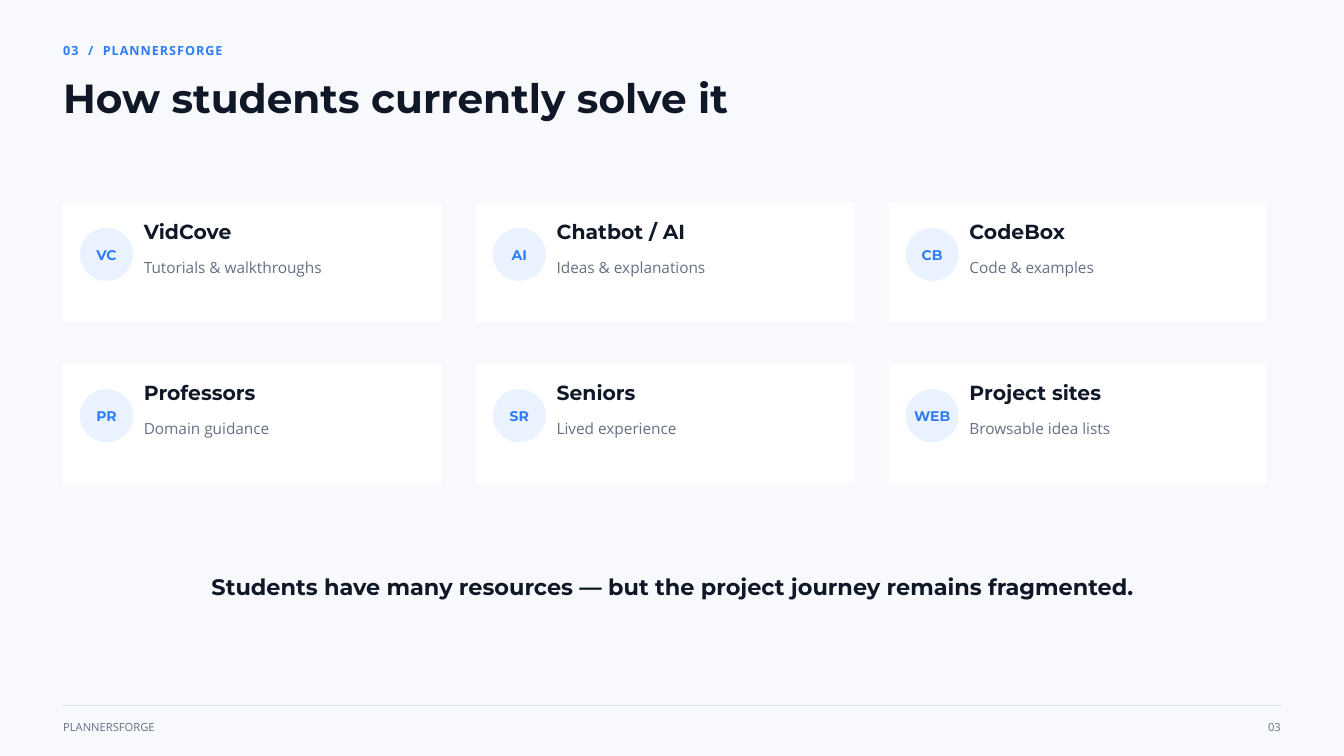
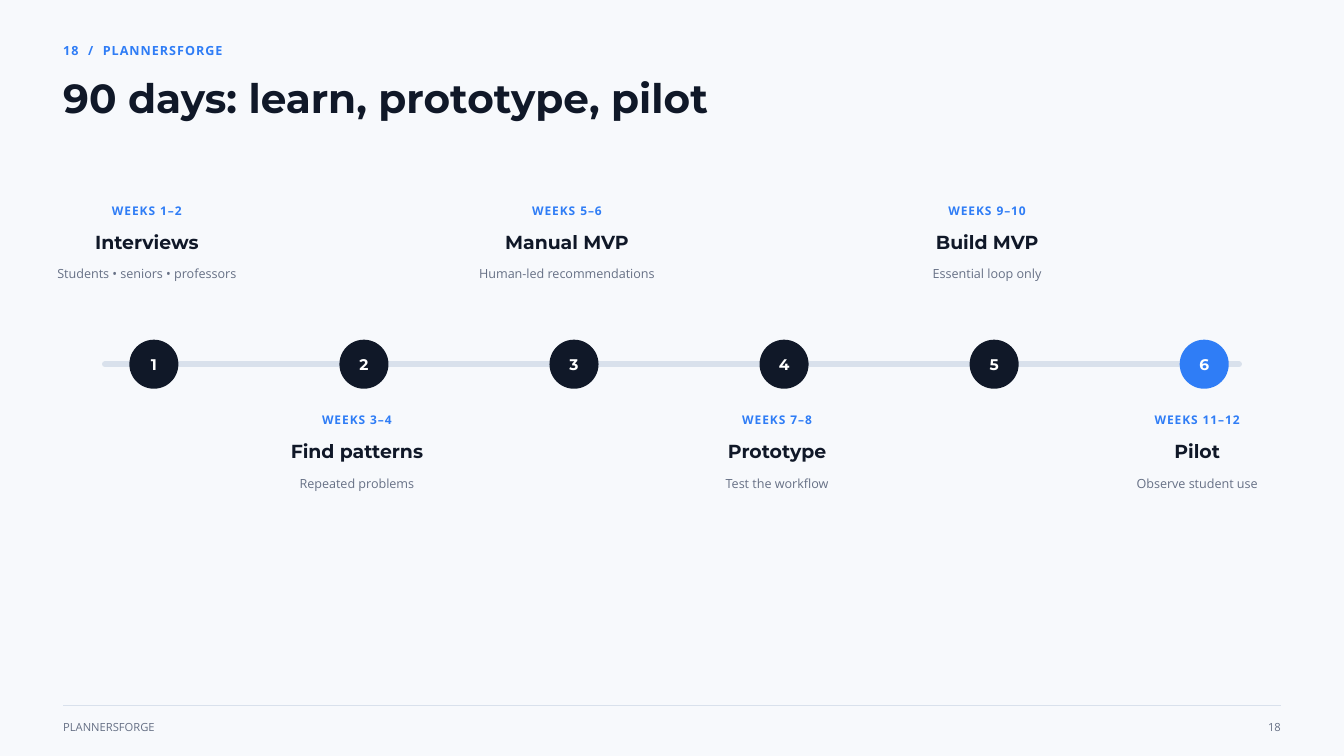
from lxml.etree import SubElement
from pptx import Presentation
from pptx.dml.color import RGBColor
from pptx.enum.shapes import MSO_CONNECTOR, MSO_SHAPE
from pptx.enum.text import MSO_ANCHOR, MSO_AUTO_SIZE, PP_ALIGN
from pptx.oxml.ns import qn
from pptx.util import Inches, Pt

INK, BLUE, GREY = "101828", "2F7DF6", "667085"
RULE, PALE, WHITE, PAPER = "D9E1EC", "EAF2FF", "FFFFFF", "F7F9FC"
HEAD, BODY = "Montserrat", "Open Sans"
LEFT, RIGHT = 0.94, 19.06
BRAND = "PLANNERSFORGE"

RESOURCES = [
    ("VC", "VidCove", "Tutorials & walkthroughs"),
    ("AI", "Chatbot / AI", "Ideas & explanations"),
    ("CB", "CodeBox", "Code & examples"),
    ("PR", "Professors", "Domain guidance"),
    ("SR", "Seniors", "Lived experience"),
    ("WEB", "Project sites", "Browsable idea lists"),
]
STEPS = [
    ("WEEKS 1–2", "Interviews", "Students • seniors • professors"),
    ("WEEKS 3–4", "Find patterns", "Repeated problems"),
    ("WEEKS 5–6", "Manual MVP", "Human-led recommendations"),
    ("WEEKS 7–8", "Prototype", "Test the workflow"),
    ("WEEKS 9–10", "Build MVP", "Essential loop only"),
    ("WEEKS 11–12", "Pilot", "Observe student use"),
]


def color(value):
    return RGBColor.from_string(value)


def set_text(tf, text, font, size, fill, line, bold=False, align=PP_ALIGN.LEFT, spacing=0):
    tf.margin_left = tf.margin_right = tf.margin_top = tf.margin_bottom = 0
    p = tf.paragraphs[0]
    p.alignment = align
    p.line_spacing = Pt(line)
    r = p.add_run()
    r.text = text
    p.font.name, p.font.size, p.font.bold = font, Pt(size), bold
    p.font.color.rgb = color(fill)
    if spacing:
        r._r.get_or_add_rPr().set("spc", str(round(spacing * 100)))


def add_text(s, x, y, w, h, *args, **style):
    tf = s.shapes.add_textbox(Inches(x), Inches(y), Inches(w), Inches(h)).text_frame
    tf.word_wrap = True
    tf.auto_size = MSO_AUTO_SIZE.SHAPE_TO_FIT_TEXT
    set_text(tf, *args, **style)


def add_filled(s, kind, x, y, w, h, fill):
    sp = s.shapes.add_shape(kind, Inches(x), Inches(y), Inches(w), Inches(h))
    sp.shadow.inherit = False
    sp.fill.solid()
    sp.fill.fore_color.rgb = color(fill)
    sp.line.fill.background()
    return sp


def add_badge(s, x, y, size, fill, text, text_size, text_fill, line):
    tf = add_filled(s, MSO_SHAPE.OVAL, x, y, size, size, fill).text_frame
    tf.word_wrap = False
    tf.vertical_anchor = MSO_ANCHOR.MIDDLE
    set_text(tf, text, HEAD, text_size, text_fill, line, bold=True, align=PP_ALIGN.CENTER)
    tf.margin_bottom = Inches(0.03)


def add_rule(s, x1, x2, y, width, cap="flat"):
    c = s.shapes.add_connector(MSO_CONNECTOR.STRAIGHT, Inches(x1), Inches(y), Inches(x2), Inches(y))
    c.line.color.rgb = color(RULE)
    c.line.width = Pt(width)
    c.line._get_or_add_ln().set("cap", cap)
    SubElement(c._element.spPr, qn("a:effectLst"))


def new_slide(prs, number, title):
    s = prs.slides.add_slide(prs.slide_layouts[6])
    s.background.fill.solid()
    s.background.fill.fore_color.rgb = color(PAPER)
    # Header
    add_text(s, LEFT, 0.6, 6.77, 0.25, f"{number}  /  {BRAND}", BODY, 13.5, BLUE, 18.9,
             bold=True, spacing=1.1)
    add_text(s, LEFT, 1.18, 15.62, 0.66, title, HEAD, 43.5, INK, 45.7, bold=True)
    # Footer
    add_rule(s, LEFT, RIGHT, 10.5, 0.75)
    add_text(s, LEFT, 10.7, 3.12, 0.2, BRAND, BODY, 12, GREY, 15.6)
    add_text(s, RIGHT - 0.73, 10.7, 0.73, 0.2, number, BODY, 12, GREY, 15.6, align=PP_ALIGN.RIGHT)
    return s


def resource_card(s, x, y, w, h, code, name, detail):
    add_filled(s, MSO_SHAPE.RECTANGLE, x, y, w, h, WHITE)
    add_badge(s, x + 0.25, y + 0.37, 0.79, PALE, code, 15, BLUE, 21)
    add_text(s, x + 1.2, y + 0.29, 4.06, 0.33, name, HEAD, 21.8, INK, 22.8, bold=True)
    add_text(s, x + 1.2, y + 0.8, 4.06, 0.28, detail, BODY, 16.5, GREY, 21.4)


def resource_grid(s, x, y, w, h, columns=3, col_gap=0.52, row_gap=0.63):
    card_w = (w - (columns - 1) * col_gap) / columns
    card_h = (h - row_gap) / 2
    for i, resource in enumerate(RESOURCES):
        row, col = divmod(i, columns)
        resource_card(s, x + col * (card_w + col_gap), y + row * (card_h + row_gap),
                      card_w, card_h, *resource)


def step_label(s, x, y, w, weeks, name, detail):
    center = PP_ALIGN.CENTER
    add_text(s, x, y, w, 0.24, weeks, BODY, 12.8, BLUE, 17.8, bold=True, align=center, spacing=1)
    add_text(s, x, y + 0.48, w, 0.3, name, HEAD, 20.2, INK, 21.3, bold=True, align=center)
    add_text(s, x, y + 0.95, w, 0.24, detail, BODY, 13.5, GREY, 17.6, align=center)


def timeline(s, x, y, w, size=0.73):
    add_rule(s, x, x + w, y, 6, cap="rnd")
    first, last = x + 0.73, x + w - 0.52
    pitch = (last - first) / (len(STEPS) - 1)
    for i, step in enumerate(STEPS):
        cx = first + i * pitch
        fill = BLUE if i == len(STEPS) - 1 else INK
        add_badge(s, cx - size / 2, y - size / 2, size, fill, str(i + 1), 16.5, WHITE, 23.1)
        # Labels alternate above and below the line
        step_label(s, cx - 1.46, y + (0.69 if i % 2 else -2.43), 2.71, *step)


def main():
    prs = Presentation()
    prs.slide_width, prs.slide_height = Inches(20), Inches(11.25)

    # Current resources
    s = new_slide(prs, "03", "How students currently solve it")
    resource_grid(s, LEFT, 3.02, 17.91, 4.17)
    add_text(s, 1.88, 8.58, 16.25, 0.35,
             "Students have many resources — but the project journey remains fragmented.",
             HEAD, 24, INK, 25.2, bold=True, align=PP_ALIGN.CENTER)

    # 90-day plan
    s = new_slide(prs, "18", "90 days: learn, prototype, pilot")
    timeline(s, 1.56, 5.42, 16.88)

    prs.save("out.pptx")


if __name__ == "__main__":
    main()
